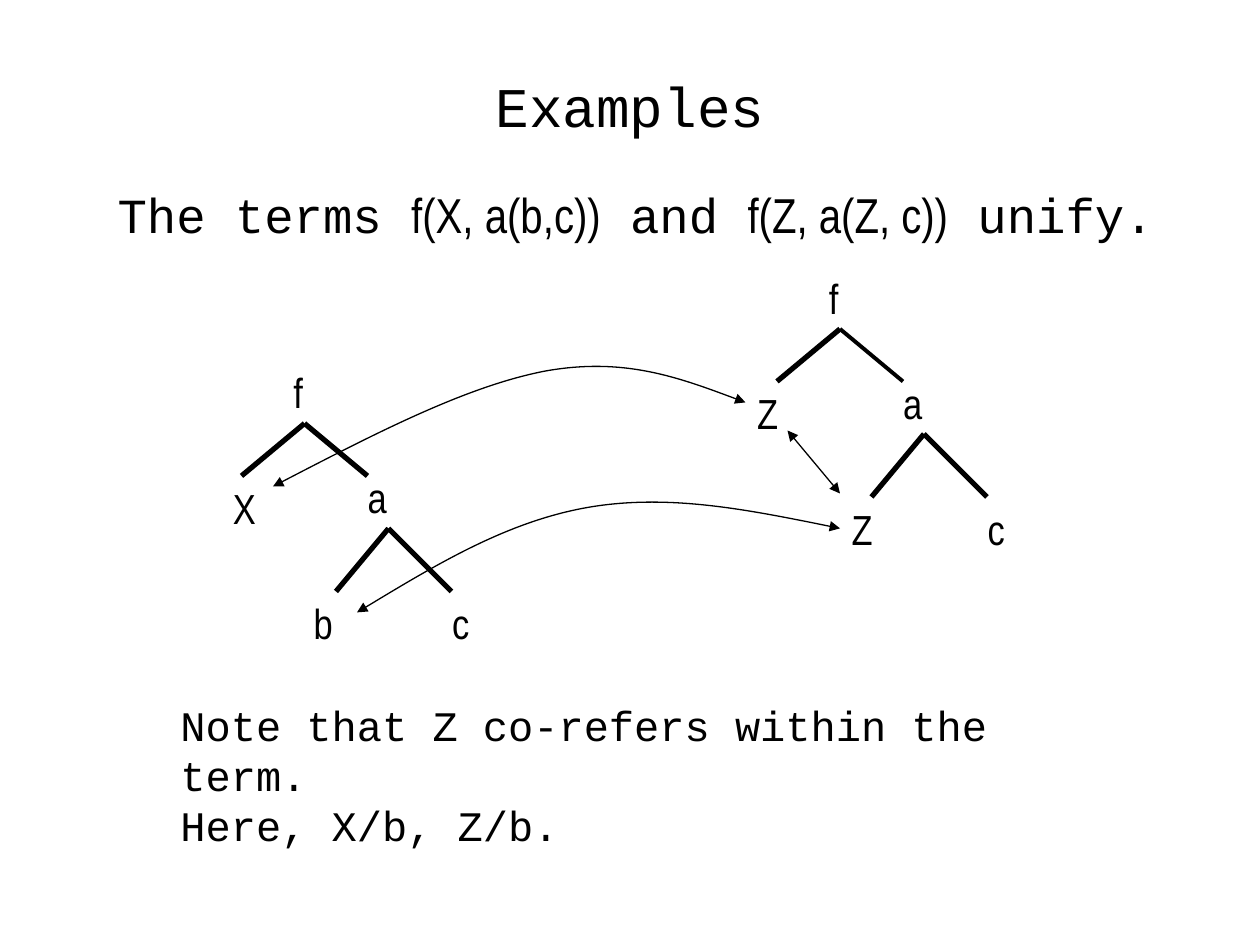
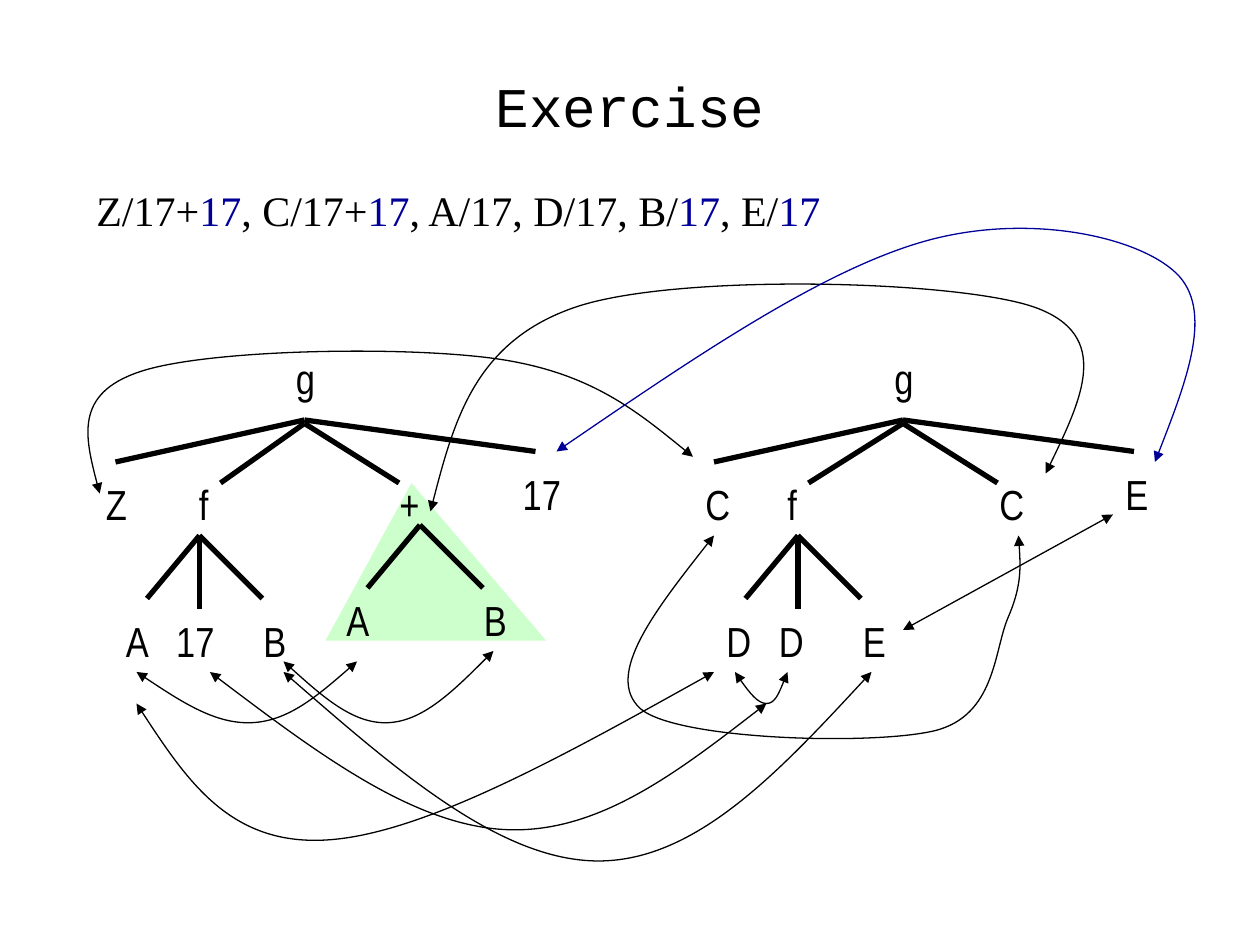
"""Build two slides on term unification: paired trees joined by arrows."""
from dataclasses import dataclass

from lxml import etree
from pptx import Presentation
from pptx.dml.color import RGBColor
from pptx.enum.shapes import MSO_CONNECTOR, MSO_SHAPE
from pptx.enum.text import MSO_ANCHOR, MSO_AUTO_SIZE, PP_ALIGN
from pptx.oxml.ns import qn
from pptx.slide import Slide
from pptx.util import Inches, Pt

STRAIGHT = MSO_CONNECTOR.STRAIGHT
TRIANGLE = MSO_SHAPE.ISOSCELES_TRIANGLE
MIDDLE, TOP = MSO_ANCHOR.MIDDLE, MSO_ANCHOR.TOP
GROW, FIXED = MSO_AUTO_SIZE.SHAPE_TO_FIT_TEXT, MSO_AUTO_SIZE.NONE
CENTER, LEFT = PP_ALIGN.CENTER, PP_ALIGN.LEFT

WIDTH, HEIGHT = Inches(10), Inches(7.5)
COLS = 120
CELL = WIDTH / COLS
BLACK, BLUE, GREEN = "000000", "000099", "CCFFCC"
MONO, NARROW, SERIF = "Courier New", "Arial Narrow", "Times New Roman"
THICK, MID, THIN = 3, 2.25, 0.75
TALL = 6
WIDE = {"f": 3.7, "c": 4.3, "a": 4.6, "E": 4.6, "Z": 4.7, "X": 4.7,
        "+": 4.7, "b": 4.8, "17": 7}
COMMON = 4.9

Point = tuple[float, float]


@dataclass
class Label:
    """A node name at a grid place."""
    text: str
    col: float
    row: float


@dataclass
class Fan:
    """Branches that spread from one apex."""
    apex: Point
    tips: list[Point]
    weight: float = THICK


@dataclass
class Curve:
    """A start point, then three points for each Bezier arc."""
    points: list[Point]
    color: str = BLACK


@dataclass
class Part:
    """A stretch of text in one font and colour."""
    text: str
    face: str
    color: str = BLACK


def cells(*counts: float) -> list[int]:
    """Turn grid counts into lengths."""
    return [round(count * CELL) for count in counts]


def tint(code: str) -> RGBColor:
    """Turn a hex string into a colour."""
    return RGBColor.from_string(code)


def style(font, face: str, size: float, color: str = BLACK) -> None:
    """Set face, size and colour of a font."""
    font.name, font.size = face, Pt(size)
    font.color.rgb = tint(color)


def fill_parts(para, parts: list[Part], size: float) -> None:
    """Fill a paragraph with styled runs."""
    for part in parts:
        run = para.add_run()
        run.text = part.text
        style(run.font, part.face, size, part.color)


def place(shape, col: float, row: float, wide: float, tall: float) -> None:
    """Put a shape on the grid."""
    shape.left, shape.top, shape.width, shape.height = cells(col, row, wide, tall)


def start(deck, layout: int, title: str) -> Slide:
    """Add a slide with its title."""
    slide = deck.slides.add_slide(deck.slide_layouts[layout])
    head = slide.shapes.title
    place(head, 9, 4, 102, 12)
    frame = head.text_frame
    frame.text, frame.auto_size = title, FIXED
    frame.vertical_anchor = MIDDLE
    para = frame.paragraphs[0]
    para.alignment = CENTER
    style(para.runs[0].font, MONO, 32)
    return slide


def fill_body(slide: Slide, parts: list[Part]) -> None:
    """Write the lead line, without a bullet, in the body."""
    body = slide.placeholders[1]
    place(body, 10, 17, 102, 10)
    frame = body.text_frame
    frame.auto_size, frame.vertical_anchor = FIXED, TOP
    para = frame.paragraphs[0]
    props = para._p.get_or_add_pPr()
    props.set("marL", "0")
    props.set("indent", "0")
    etree.SubElement(props, qn("a:buNone"))
    para.space_before, para.alignment = Pt(0), LEFT
    fill_parts(para, parts, 28)


def add_box(slide: Slide, col: float, row: float, wide: float, tall: float,
            wrap: bool = False):
    """Add a text box and return its frame."""
    frame = slide.shapes.add_textbox(*cells(col, row, wide, tall)).text_frame
    frame.word_wrap, frame.auto_size = wrap, GROW
    return frame


def draw_labels(slide: Slide, labels: list[Label], col: float = 0,
                row: float = 0) -> None:
    """Write node names, moved by col and row."""
    for label in labels:
        frame = add_box(slide, label.col + col, label.row + row,
                        WIDE.get(label.text, COMMON), TALL)
        frame.text = label.text
        style(frame.paragraphs[0].runs[0].font, NARROW, 24)


def ink(shape, color: str, weight: float, heads: bool) -> None:
    """Set the line of a shape, with arrowheads if asked."""
    shape.line.color.rgb = tint(color)
    shape.line.width = Pt(weight)
    if heads:
        line = shape._element.spPr.find(qn("a:ln"))
        for end in ("a:headEnd", "a:tailEnd"):
            etree.SubElement(line, qn(end), type="triangle")


def draw_line(slide: Slide, first: Point, last: Point, weight: float,
              heads: bool = False) -> None:
    """Draw a straight line between two grid points."""
    line = slide.shapes.add_connector(STRAIGHT, *cells(*first, *last))
    ink(line, BLACK, weight, heads)
    etree.SubElement(line._element.spPr, qn("a:effectLst"))


def draw_fans(slide: Slide, fans: list[Fan], col: float, row: float) -> None:
    """Draw the branches of a tree whose root is at col and row."""
    for fan in fans:
        apex = (fan.apex[0] + col, fan.apex[1] + row)
        for tip in fan.tips:
            draw_line(slide, apex, (tip[0] + col, tip[1] + row), fan.weight)


def draw_curve(slide: Slide, curve: Curve) -> None:
    """Draw a smooth arrow with two heads."""
    points = [tuple(cells(*point)) for point in curve.points]
    pen = slide.shapes.build_freeform(*points[0], scale=1.0)
    pen.add_line_segments(points[1:], close=False)
    shape = pen.convert_to_shape()
    shape.shadow.inherit = False
    shape.fill.background()
    ink(shape, curve.color, THIN, True)
    track = next(shape._element.iter(qn("a:path")))
    steps = track.findall(qn("a:lnTo"))
    for index in range(0, len(steps), 3):
        arc = etree.SubElement(track, qn("a:cubicBezTo"))
        for step in steps[index:index + 3]:
            arc.append(step[0])
            track.remove(step)


LOWER = Fan((8, 10), [(3, 16), (14, 16)])
LEFT_FANS = [Fan((0, 0), [(-6, 5), (6, 5)]), LOWER]
RIGHT_FANS = [Fan((0, 0), [(-6, 5)]), Fan((0, 0), [(6, 5)], MID), LOWER]
SHARED = [Label("f", -2.25, -6), Label("a", 4.84, 4), Label("c", 12.88, 16)]
LEFT_NAMES = SHARED + [Label("X", -8, 5), Label("b", -0.32, 16)]
RIGHT_NAMES = SHARED + [Label("Z", -9.08, 5), Label("Z", -0.08, 16)]
TERMS = [Part("The terms ", MONO), Part("f(X, a(b,c))", NARROW),
         Part(" and ", MONO), Part("f(Z, a(Z, c))", NARROW),
         Part(" unify.", MONO)]
NOTES = ["Note that Z co-refers within the term.", "Here, X/b, Z/b."]
MATCHES = [
    Curve([(26, 46.33), (35.33, 41.5), (44.5, 36.75), (52, 35.33),
           (59.5, 34), (65.25, 36.17), (71, 38.33)]),
    Curve([(34, 58.33), (41.17, 54), (48.33, 49.67), (56, 48.33),
           (63.67, 47), (71.83, 48.67), (80, 50.33)]),
]

ROOT = [Fan((0, 0), [(-18, 4), (22, 3)]),
        Fan((-10, 11), [(-15, 17), (-4, 17), (-10, 18)])]
SUM_FANS = ROOT + [Fan((0, 0.33), [(-8, 6), (9, 6)]),
                   Fan((11, 10), [(6, 16), (17, 16)])]
GOAL_FANS = ROOT + [Fan((0, 0.33), [(-9, 6), (9, 6)])]
NAMES = [
    Label("g", 27, 33), Label("Z", 8.9, 45), Label("f", 17.75, 45),
    Label("+", 36.85, 45), Label("17", 48.6, 44), Label("A", 10.8, 58),
    Label("17", 15.6, 58), Label("B", 23.9, 58), Label("A", 31.8, 56),
    Label("B", 44.9, 56), Label("g", 84, 33), Label("C", 66, 45),
    Label("f", 73.8, 45), Label("C", 94, 45), Label("E", 106, 44),
    Label("D", 68, 58), Label("D", 73, 58), Label("E", 81, 58),
]
LINKS = [
    Curve([(13, 64), (16.75, 66.5), (20.5, 69), (24, 68.83),
           (27.5, 68.67), (30.75, 65.83), (34, 63)]),
    Curve([(27, 63), (30.33, 66), (33.67, 69), (37, 68.83),
           (40.33, 68.67), (43.67, 65.33), (47, 62)]),
    Curve([(70, 64), (71, 65.5), (72.17, 67), (73, 67),
           (73.83, 67), (74.42, 65.5), (75, 64)]),
    Curve([(68, 51), (62.75, 57.67), (57.5, 64.33), (61, 67.5),
           (64.5, 70.5), (83.17, 71), (89, 69.6),
           (94.83, 68.17), (94.67, 61.92), (96, 58.83),
           (97.33, 55.75), (97.17, 53.4), (97, 51)]),
    Curve([(66, 43.5), (61.1, 39.5), (56.25, 35.5), (47.5, 34.2),
           (38.67, 32.9), (19.67, 33.25), (13.33, 35.4),
           (7, 37.5), (8.25, 42.25), (9.5, 47)]),
    Curve([(13, 67), (17.42, 73.75), (21.83, 80.5), (31, 80),
           (40.2, 79.5), (54.1, 71.75), (68, 64)]),
    Curve([(20, 64), (29.58, 71.25), (39.17, 78.5), (48, 79),
           (56.83, 79.5), (64.92, 73.25), (73, 67)]),
    Curve([(27, 64), (37.33, 73), (47.67, 82), (57, 82),
           (66.33, 82), (74.67, 73), (83, 64)]),
    Curve([(41, 48.7), (43.08, 40.6), (45.25, 32.5), (54.83, 29.25),
           (64.4, 26), (91.1, 26.67), (98.5, 29.25),
           (106, 31.9), (102.8, 38.5), (99.6, 45.1)]),
    Curve([(53, 43), (65.6, 34.4), (78.17, 25.8), (88, 23),
           (97.83, 20.2), (108.33, 22.5), (112, 26),
           (115.67, 29.5), (112.83, 36.75), (110, 44)], BLUE),
]
ANSWER = [Part(text, SERIF, BLUE if text == "17" else BLACK) for text in
          ("Z/17+", "17", ", C/17+", "17", ", A/17, D/17, B/", "17", ", E/", "17")]


def build_terms(deck) -> None:
    """Build the slide of two terms that unify."""
    slide = start(deck, 1, "Examples")
    fill_body(slide, TERMS)
    for fans, names, col, row in ((RIGHT_FANS, RIGHT_NAMES, 80, 31.33),
                                  (LEFT_FANS, LEFT_NAMES, 29, 40.33)):
        draw_labels(slide, names, col, row)
        draw_fans(slide, fans, col, row)
    for curve in MATCHES:
        draw_curve(slide, curve)
    frame = add_box(slide, 16, 66, 83.2, 10.8, wrap=True)
    frame.text = "\n".join(NOTES)
    for para in frame.paragraphs:
        style(para.runs[0].font, MONO, 24)
    draw_line(slide, (75, 41), (80, 47), THIN, heads=True)


def build_task(deck) -> None:
    """Build the slide of the solved exercise."""
    slide = start(deck, 5, "Exercise")
    patch = slide.shapes.add_shape(TRIANGLE, *cells(31, 46, 21, 15))
    patch.adjustments[0] = 0.39
    patch.shadow.inherit = False
    patch.fill.solid()
    patch.fill.fore_color.rgb = tint(GREEN)
    patch.line.fill.background()
    draw_labels(slide, NAMES)
    draw_fans(slide, SUM_FANS, 29, 40)
    draw_fans(slide, GOAL_FANS, 86, 40)
    draw_line(slide, (86, 60), (106, 49), THIN, heads=True)
    for curve in LINKS:
        draw_curve(slide, curve)
    frame = add_box(slide, 8, 17, 71.5, TALL)
    fill_parts(frame.paragraphs[0], ANSWER, 24)


def main() -> None:
    """Build and save the deck."""
    deck = Presentation()
    deck.slide_width, deck.slide_height = WIDTH, HEIGHT
    build_terms(deck)
    build_task(deck)
    deck.save("out.pptx")


if __name__ == "__main__":
    main()
